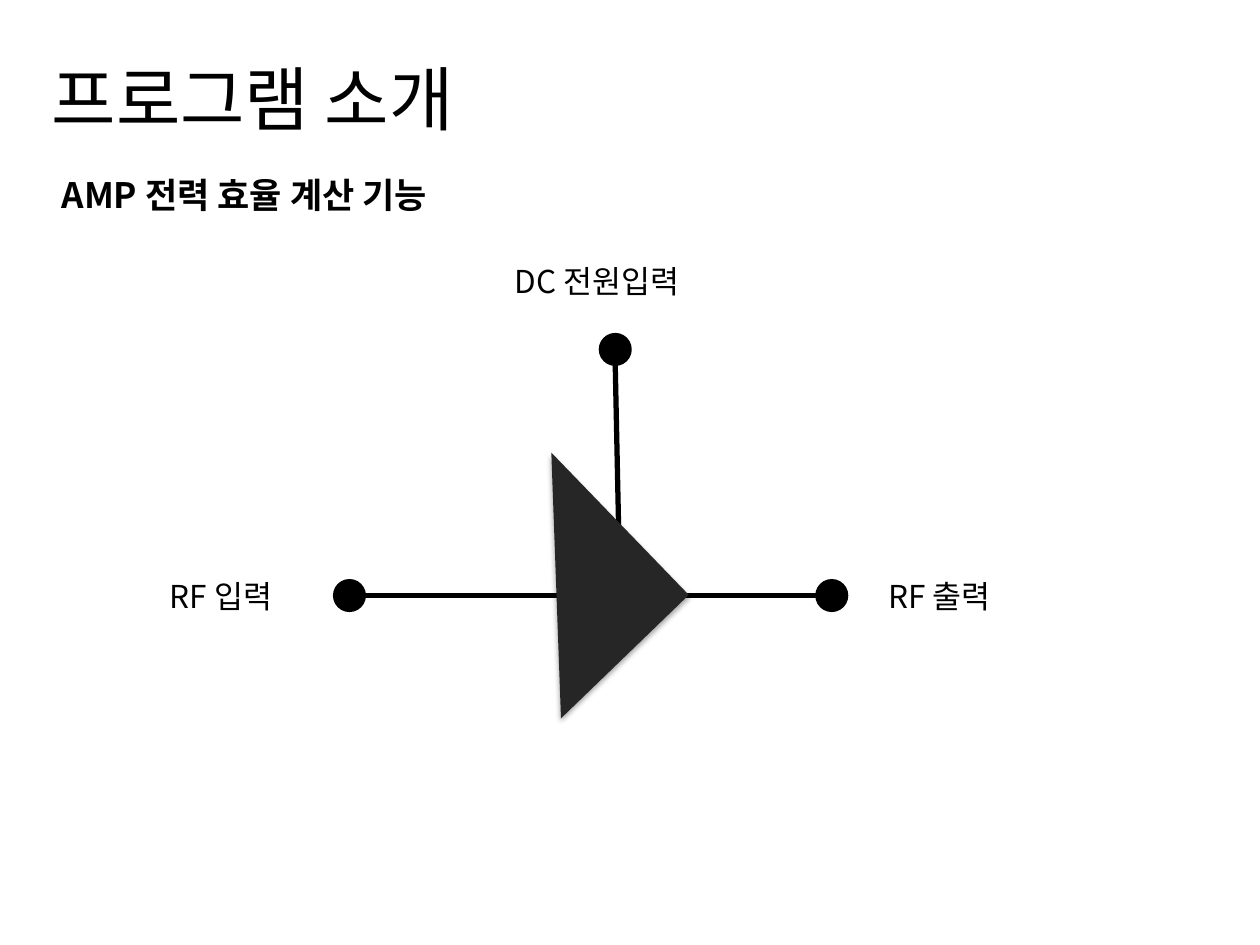
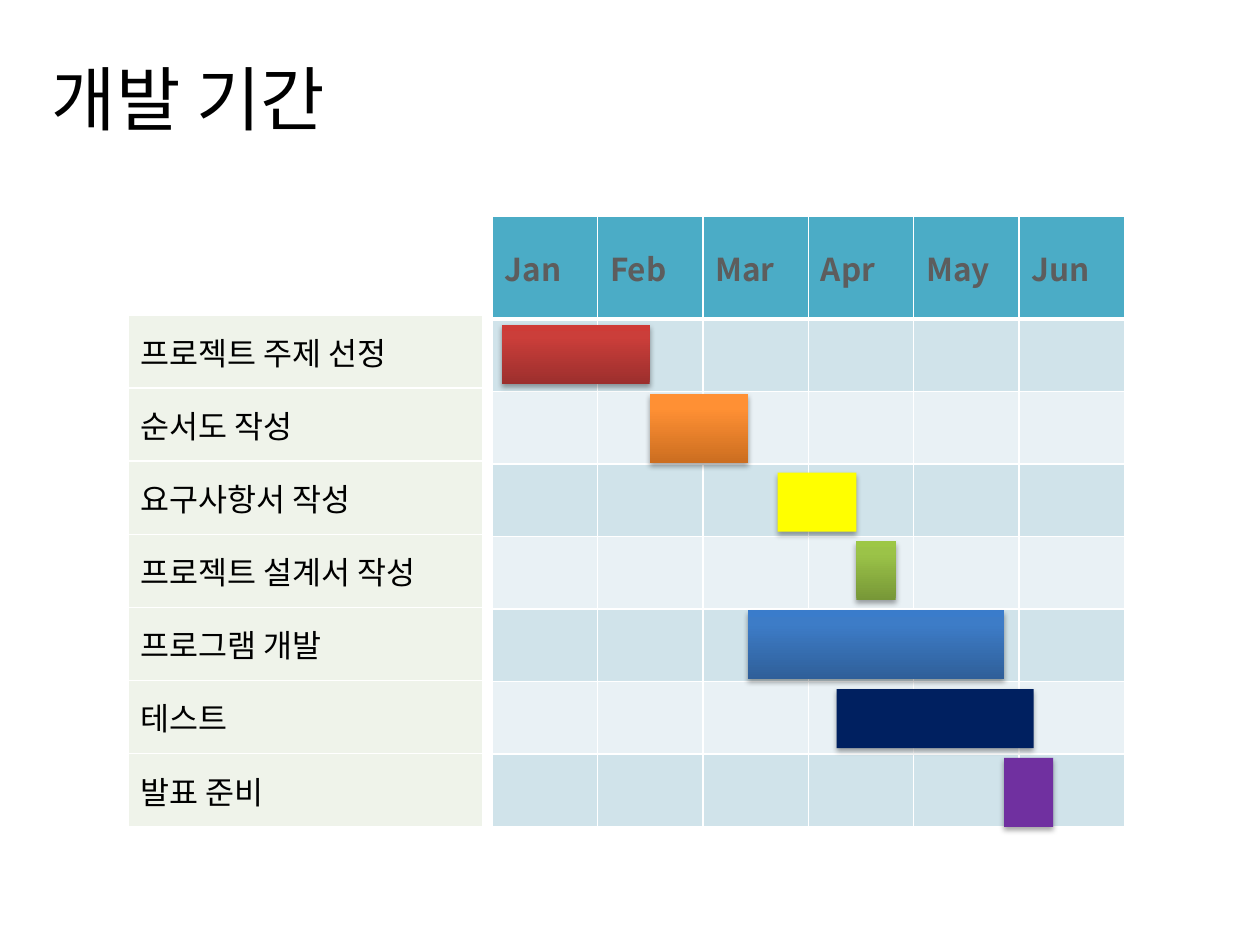
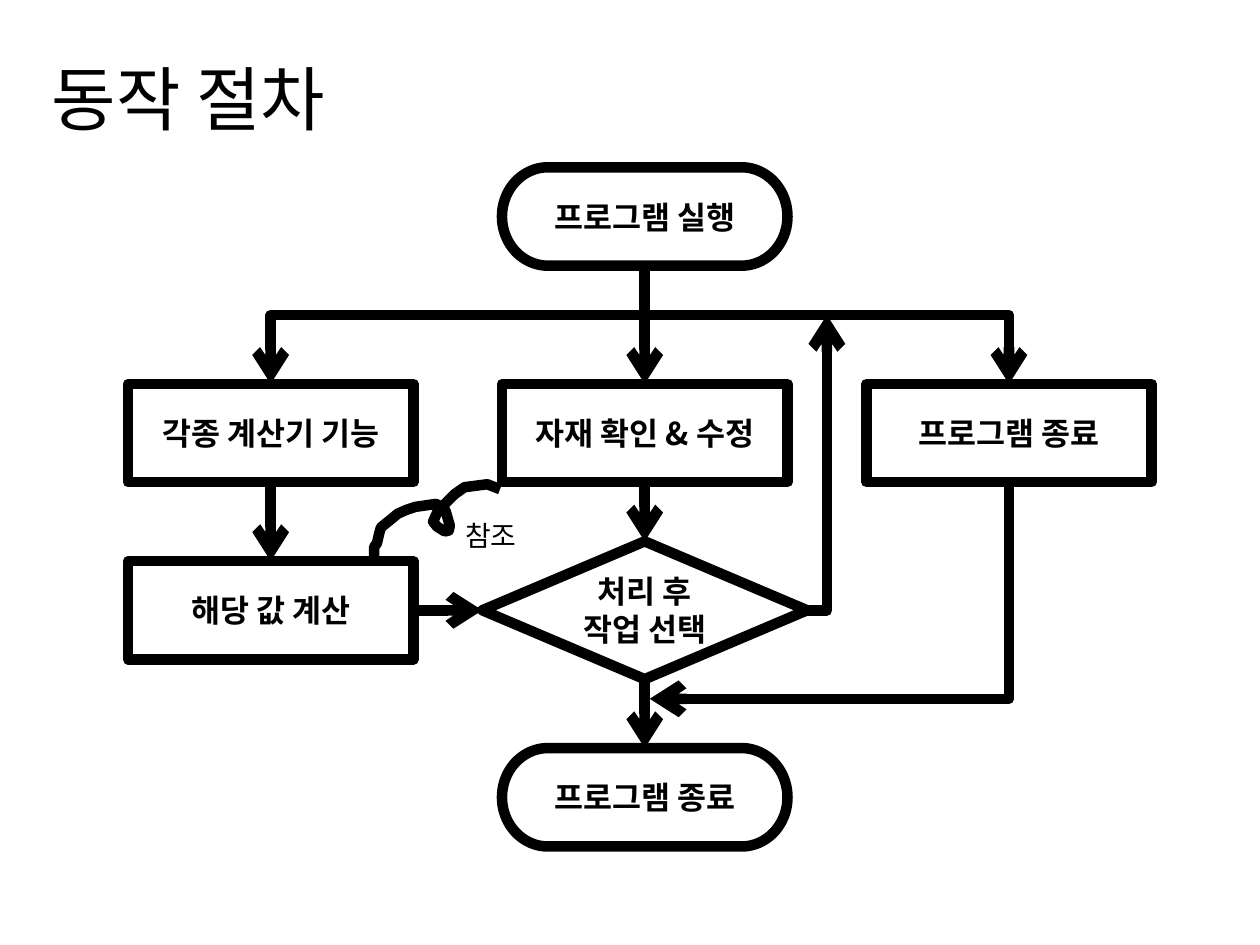
from copy import deepcopy

from lxml.etree import SubElement
from pptx import Presentation
from pptx.dml.color import RGBColor
from pptx.enum.shapes import MSO_CONNECTOR, MSO_SHAPE
from pptx.enum.text import MSO_ANCHOR, MSO_AUTO_SIZE, PP_ALIGN
from pptx.oxml.ns import qn
from pptx.util import Inches, Pt

FONT = "Noto Sans CJK KR"
BLACK, WHITE, CHARCOAL = "000000", "FFFFFF", "262626"
HEADER_FILL, HEADER_TEXT = "4BACC6", "5D5D5D"
BAND_FILLS = ("D0E3EA", "E9F1F5")
TASK_FILL = "EFF3EA"
COLUMNS, ROWS = 128, 96
TOP, LEFT, BOTTOM, RIGHT = range(4)
GRADIENT_POSITIONS = (0, 0.8, 1)
BODY = {"size": Pt(18)}
BOLD_BODY = {"size": Pt(18), "bold": True}


def color(value):
    return RGBColor.from_string(value)


class SlideBuilder:
    def __init__(self, deck):
        self.deck = deck
        self.column = deck.slide_width / COLUMNS
        self.row = deck.slide_height / ROWS
        self.shapes = None

    def x(self, columns):
        return round(columns * self.column)

    def y(self, rows):
        return round(rows * self.row)

    def area(self, left, top, width, height):
        return self.x(left), self.y(top), self.x(width), self.y(height)

    def page(self, title, title_width):
        self.shapes = self.deck.slides.add_slide(self.deck.slide_layouts[6]).shapes
        self.text(title, (4, 5, title_width, 9.9), {"size": Pt(40)})

    def add_span(self, frame, text, formats, ink=BLACK):
        para = frame.paragraphs[0]
        span = para.add_run()
        span.text = text
        for name, value in {"name": FONT, **formats}.items():
            setattr(span.font, name, value)
        span.font.color.rgb = color(ink)
        SubElement(span.font._element, qn("a:ea"), typeface=FONT)
        return para

    def text(self, text, area, formats=BODY):
        frame = self.shapes.add_textbox(*self.area(*area)).text_frame
        frame.word_wrap = True
        frame.auto_size = MSO_AUTO_SIZE.SHAPE_TO_FIT_TEXT
        self.add_span(frame, text, formats)

    def paint(self, shape, fill=None, line_width=0):
        shape.shadow.inherit = False
        if fill:
            shape.fill.solid()
            shape.fill.fore_color.rgb = color(fill)
        else:
            shape.fill.background()
        if line_width:
            shape.line.width = Pt(line_width)
            shape.line.color.rgb = color(BLACK)
        else:
            shape.line.fill.background()

    def shape(self, kind, area, fill=None, line_width=0):
        box = self.shapes.add_shape(kind, *self.area(*area))
        self.paint(box, fill, line_width)
        return box

    def dot(self, left, top):
        self.shape(MSO_SHAPE.OVAL, (left, top, 3, 3), BLACK, 2)

    def cast_shadow(self, shape):
        effects = shape.element.spPr.find(qn("a:effectLst"))
        shadow = SubElement(effects, qn("a:outerShdw"), blurRad=str(Pt(3.1)),
                            dist=str(Pt(1.8)), dir="5400000", rotWithShape="0")
        ink = SubElement(shadow, qn("a:srgbClr"), val=BLACK)
        SubElement(ink, qn("a:alpha"), val="35000")

    def bar(self, area, *fills):
        box = self.shape(MSO_SHAPE.RECTANGLE, area, fills[0])
        self.cast_shadow(box)
        if len(fills) > 1:
            box.fill.gradient()
            box.fill.gradient_angle = 90
            stops = box.element.spPr.find(".//" + qn("a:gsLst"))
            stops.insert(1, deepcopy(stops[0]))
            for stop, fill, position in zip(box.fill.gradient_stops, fills, GRADIENT_POSITIONS):
                stop.color.rgb = color(fill)
                stop.position = position

    def step(self, kind, text, area, fill=None):
        box = self.shape(kind, area, fill, 6)
        frame = box.text_frame
        frame.word_wrap = True
        frame.vertical_anchor = MSO_ANCHOR.MIDDLE
        self.add_span(frame, text, BOLD_BODY).alignment = PP_ALIGN.CENTER
        return box

    def line(self, start, end, width, arrow=None, kind=MSO_CONNECTOR.STRAIGHT):
        link = self.shapes.add_connector(kind, self.x(start[0]), self.y(start[1]),
                                         self.x(end[0]), self.y(end[1]))
        link.line.width = Pt(width)
        link.line.color.rgb = color(BLACK)
        properties = link.element.spPr
        if arrow:
            SubElement(properties.find(qn("a:ln")), qn(arrow), type="arrow")
        SubElement(properties, qn("a:effectLst"))
        return link

    def join(self, source, source_side, target, target_side):
        link = self.line((0, 0), (0, 0), 6, "a:tailEnd")
        link.begin_connect(source, source_side)
        link.end_connect(target, target_side)

    def bend(self, start, end, arrow="a:tailEnd"):
        link = self.line(start, end, 6, arrow, MSO_CONNECTOR.ELBOW)
        link.element.spPr.find(qn("a:prstGeom")).set("prst", "bentConnector2")

    def curve(self, points, width):
        first, *others = [(self.x(x), self.y(y)) for x, y in points]
        builder = self.shapes.build_freeform(*first)
        builder.add_line_segments(others, close=False)
        self.paint(builder.convert_to_shape(), line_width=width)

    def table(self, area, row_heights, column_count):
        grid = self.shapes.add_table(len(row_heights), column_count, *self.area(*area)).table
        grid.first_row = grid.horz_banding = False
        for row, height in zip(grid.rows, row_heights):
            row.height = self.y(height)
        for column in grid.columns:
            column.width = self.x(area[2] / column_count)
        return grid

    def cell(self, cell, fill, text="", formats=BODY, ink=BLACK, top=1, bottom=1):
        properties = cell._tc.get_or_add_tcPr()
        for side, width in {"L": 1, "R": 1, "T": top, "B": bottom}.items():
            border = SubElement(properties, qn("a:ln" + side), w=str(Pt(width)))
            SubElement(SubElement(border, qn("a:solidFill")), qn("a:srgbClr"), val=WHITE)
        cell.fill.solid()
        cell.fill.fore_color.rgb = color(fill)
        cell.vertical_anchor = MSO_ANCHOR.MIDDLE
        if text:
            self.add_span(cell.text_frame, text, formats, ink)


def add_introduction(builder):
    builder.page("프로그램 소개", 53)
    builder.dot(34, 59)
    builder.dot(83, 59)
    builder.line((37, 60.5), (83, 60.5), 3)
    builder.text("AMP 전력 효율 계산 기능", (5, 17, 66, 5.6), {"size": Pt(20), "bold": True})
    builder.line((63, 61), (62.5, 37), 3)
    builder.dot(61, 34)
    amplifier = builder.shape(MSO_SHAPE.RIGHT_TRIANGLE, (46.45, 50.45, 20.1, 18.05), CHARCOAL)
    amplifier.rotation = 226
    builder.cast_shadow(amplifier)
    builder.text("DC 전원입력", (51, 26, 21, 5.2))
    builder.text("RF 입력", (16, 58, 15, 5.2))
    builder.text("RF 출력", (89, 58, 19, 5.2))


def add_schedule(builder):
    months = ("Jan", "Feb", "Mar", "Apr", "May", "Jun")
    tasks = ("프로젝트 주제 선정", "순서도 작성", "요구사항서 작성", "프로젝트 설계서 작성",
             "프로그램 개발", "테스트", "발표 준비")
    count = len(tasks)
    header = 10.4
    builder.page("개발 기간", 35)
    calendar = builder.table((50, 22, 64.25, 62), [header] + [(62 - header) / count] * count,
                             len(months))
    for column, month in enumerate(months):
        builder.cell(calendar.cell(0, column), HEADER_FILL, month, BOLD_BODY, HEADER_TEXT, bottom=3)
        for row in range(1, count + 1):
            builder.cell(calendar.cell(row, column), BAND_FILLS[(row - 1) % 2],
                         top=3 if row == 1 else 1)
    task_list = builder.table((13, 32, 36, 52), [52 / count] * count, 1)
    for row, task in enumerate(tasks):
        builder.cell(task_list.cell(row, 0), TASK_FILL, task)
    builder.bar((51, 33, 15, 6), "9C2F2D", "CB3E3A", "CE3B37")
    builder.bar((66, 40, 10, 7), "CC6E20", "FF9034", "FF9136")
    builder.bar((76, 62, 26, 7), "2F5F99", "3D7CC7", "3A7CCB")
    builder.bar((79, 48, 8, 6), "FFFF00")
    builder.bar((87, 55, 4, 6), "779737", "9BC348", "9DC746")
    builder.bar((85, 70, 20, 6), "002060")
    builder.bar((102, 77, 5, 7), "7030A0")


def add_procedure(builder):
    terminator, process = MSO_SHAPE.FLOWCHART_TERMINATOR, MSO_SHAPE.RECTANGLE
    size = (29, 10)
    builder.page("동작 절차", 35)
    start = builder.step(terminator, "프로그램 실행", (51, 17, *size))
    builder.step(process, "프로그램 종료", (88, 39, *size), WHITE)
    materials = builder.step(process, "자재 확인 & 수정", (51, 39, *size), WHITE)
    calculators = builder.step(process, "각종 계산기 기능", (13, 39, *size), WHITE)
    finish = builder.step(terminator, "프로그램 종료", (51, 76, *size))
    calculation = builder.step(process, "해당 값 계산", (13, 57, *size), WHITE)
    choice = builder.step(MSO_SHAPE.FLOWCHART_DECISION, "처리 후 작업 선택", (49, 55, 33, 14))
    builder.join(calculators, BOTTOM, calculation, TOP)
    builder.join(start, BOTTOM, materials, TOP)
    builder.join(calculation, RIGHT, choice, LEFT)
    builder.join(materials, BOTTOM, choice, TOP)
    builder.bend((66, 32), (102.5, 39))
    builder.bend((65, 32), (27.5, 39))
    builder.bend((82, 62), (84, 32))
    builder.join(choice, BOTTOM, finish, TOP)
    builder.curve([
        (50.8, 49.7), (49.5, 49.2), (47.2, 49.5), (46.2, 50.2), (45.3, 51.1), (44.4, 52.1),
        (44, 53), (44.4, 53.5), (45.2, 54), (45.6, 53.9), (45.7, 53.4), (45.3, 52),
        (45.1, 51.6), (44.3, 51.2), (42.2, 51.5), (41.3, 51.8), (40.4, 52.2), (39.8, 52.7),
        (38.7, 53.6), (38.5, 54.3), (38.3, 55.2), (38, 55.6), (38, 56.7),
    ], 6)
    builder.text("참조", (46, 52, 10, 4.7), {"size": Pt(16)})
    builder.bend((66, 71), (102.5, 49), "a:headEnd")


def main():
    deck = Presentation()
    deck.slide_width, deck.slide_height = Inches(10), Inches(7.5)
    builder = SlideBuilder(deck)
    add_introduction(builder)
    add_schedule(builder)
    add_procedure(builder)
    deck.save("out.pptx")


if __name__ == "__main__":
    main()
